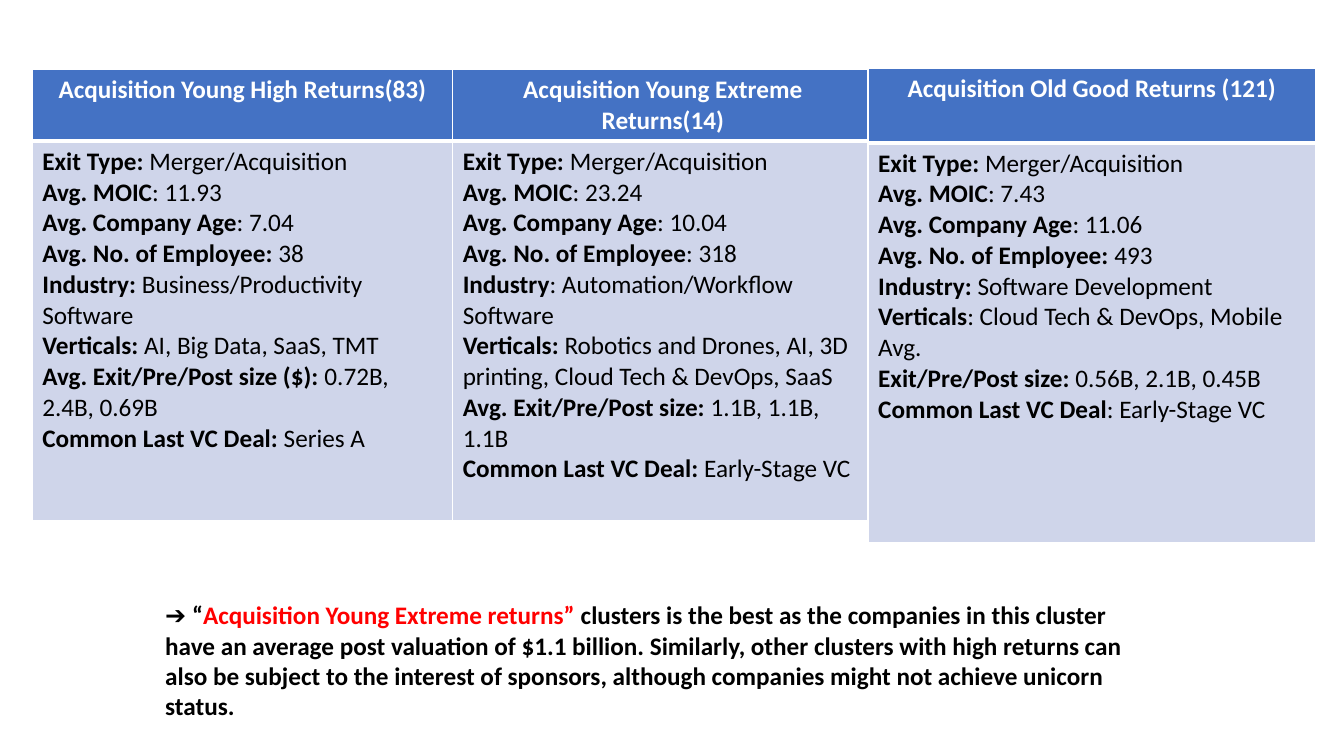
from dataclasses import dataclass

from lxml import etree
from pptx import Presentation
from pptx import util as u
from pptx.dml.color import RGBColor
from pptx.enum import text
from pptx.oxml.ns import qn

WHITE, BLACK, RED = "FFFFFF", "000000", "FF0000"
HEADER_BLUE, BODY_BLUE = "4472C4", "CFD5EA"


@dataclass
class Cluster:
    title: str
    facts: list[list[str]]


@dataclass
class ClusterTable:
    left: float
    top: float
    column_width: float
    header_height: float
    body_height: float
    clusters: list[Cluster]


YOUNG_HIGH = Cluster("Acquisition Young High Returns(83)", [
    ["Exit Type: ", "Merger/Acquisition"],
    ["Avg. MOIC", ": 11.93"],
    ["Avg. Company Age", ": 7.04"],
    ["Avg. No. of Employee: ", "38"],
    ["Industry: ", "Business/Productivity Software"],
    ["Verticals: ", "AI, Big Data, SaaS, TMT"],
    ["Avg. Exit/Pre/Post size ($): ", "0.72B, 2.4B, 0.69B"],
    ["Common Last VC Deal: ", "Series A"],
])
YOUNG_EXTREME = Cluster("Acquisition Young Extreme Returns(14)", [
    ["Exit Type: ", "Merger/Acquisition"],
    ["Avg. MOIC", ": 23.24"],
    ["Avg. Company Age", ": 10.04"],
    ["Avg. No. of Employee", ": 318"],
    ["Industry", ": Automation/Workflow Software"],
    ["Verticals: ", "Robotics and Drones, AI, 3D printing, Cloud Tech & DevOps, SaaS"],
    ["Avg. Exit/Pre/Post size: ", "1.1B, 1.1B, 1.1B"],
    ["Common Last VC Deal: ", "Early-Stage VC"],
])
OLD_GOOD = Cluster("Acquisition Old Good Returns (121)", [
    ["Exit Type: ", "Merger/Acquisition"],
    ["Avg. MOIC", ": 7.43"],
    ["Avg. Company Age", ": 11.06"],
    ["Avg. No. of Employee: ", "493"],
    ["Industry: ", "Software Development ",
     "Verticals", ": Cloud Tech & DevOps, Mobile Avg."],
    ["Exit/Pre/Post size: ", "0.56B, 2.1B, 0.45B"],
    ["Common Last VC Deal", ": Early-Stage VC"],
])
TABLES = [
    ClusterTable(0.32, 0.69, 4.17, 0.7, 3.76, [YOUNG_HIGH, YOUNG_EXTREME]),
    ClusterTable(8.61, 0.68, 4.44, 0.74, 3.96, [OLD_GOOD]),
]
CONCLUSION = [
    ("➔ “", BLACK),
    ("Acquisition Young Extreme returns” ", RED),
    ("clusters is the best as the companies in this cluster have an average post "
     "valuation of $1.1 billion. Similarly, other clusters with high returns can also "
     "be subject to the interest of sponsors, although companies might not achieve "
     "unicorn status.", BLACK),
]


def color(value: str) -> RGBColor:
    return RGBColor.from_string(value)


def add_run(paragraph, words: str, hue: str, bold: bool) -> None:
    run = paragraph.add_run()
    run.text = words
    run.font.name = "Calibri"
    run.font.size = u.Pt(18)
    run.font.bold = bold
    run.font.color.rgb = color(hue)


def style_cell(cell, fill: str, top: float, bottom: float) -> None:
    properties = cell._tc.get_or_add_tcPr()
    for side, points in (("L", 1), ("R", 1), ("T", top), ("B", bottom)):
        line = etree.SubElement(properties, qn(f"a:ln{side}"), w=str(u.Pt(points)))
        solid = etree.SubElement(line, qn("a:solidFill"))
        etree.SubElement(solid, qn("a:srgbClr"), val=WHITE)
    cell.fill.solid()
    cell.fill.fore_color.rgb = color(fill)


def add_cluster_table(slide, block: ClusterTable) -> None:
    count = len(block.clusters)
    table = slide.shapes.add_table(
        2, count, u.Inches(block.left), u.Inches(block.top),
        u.Inches(block.column_width * count),
        u.Inches(block.header_height + block.body_height)).table
    table.rows[0].height = u.Inches(block.header_height)
    table.rows[1].height = u.Inches(block.body_height)
    for column, cluster in enumerate(block.clusters):
        table.columns[column].width = u.Inches(block.column_width)
        header, body = table.cell(0, column), table.cell(1, column)
        style_cell(header, HEADER_BLUE, 1, 3)
        style_cell(body, BODY_BLUE, 3, 1)
        heading = header.text_frame.paragraphs[0]
        heading.alignment = text.PP_ALIGN.CENTER
        add_run(heading, cluster.title, WHITE, True)
        for row, fact in enumerate(cluster.facts):
            frame = body.text_frame
            paragraph = frame.add_paragraph() if row else frame.paragraphs[0]
            for index, words in enumerate(fact):
                add_run(paragraph, words, BLACK, index % 2 == 0)


def add_conclusion(slide) -> None:
    box = slide.shapes.add_textbox(
        u.Inches(1.54), u.Inches(5.9), u.Inches(10.01), u.Inches(1.31))
    frame = box.text_frame
    frame.word_wrap = True
    frame.auto_size = text.MSO_AUTO_SIZE.SHAPE_TO_FIT_TEXT
    for words, hue in CONCLUSION:
        add_run(frame.paragraphs[0], words, hue, True)


def main() -> None:
    presentation = Presentation()
    presentation.slide_width = u.Inches(13.33)
    presentation.slide_height = u.Inches(7.5)
    slide = presentation.slides.add_slide(presentation.slide_layouts[6])
    for block in TABLES:
        add_cluster_table(slide, block)
    add_conclusion(slide)
    presentation.save("out.pptx")


if __name__ == "__main__":
    main()
